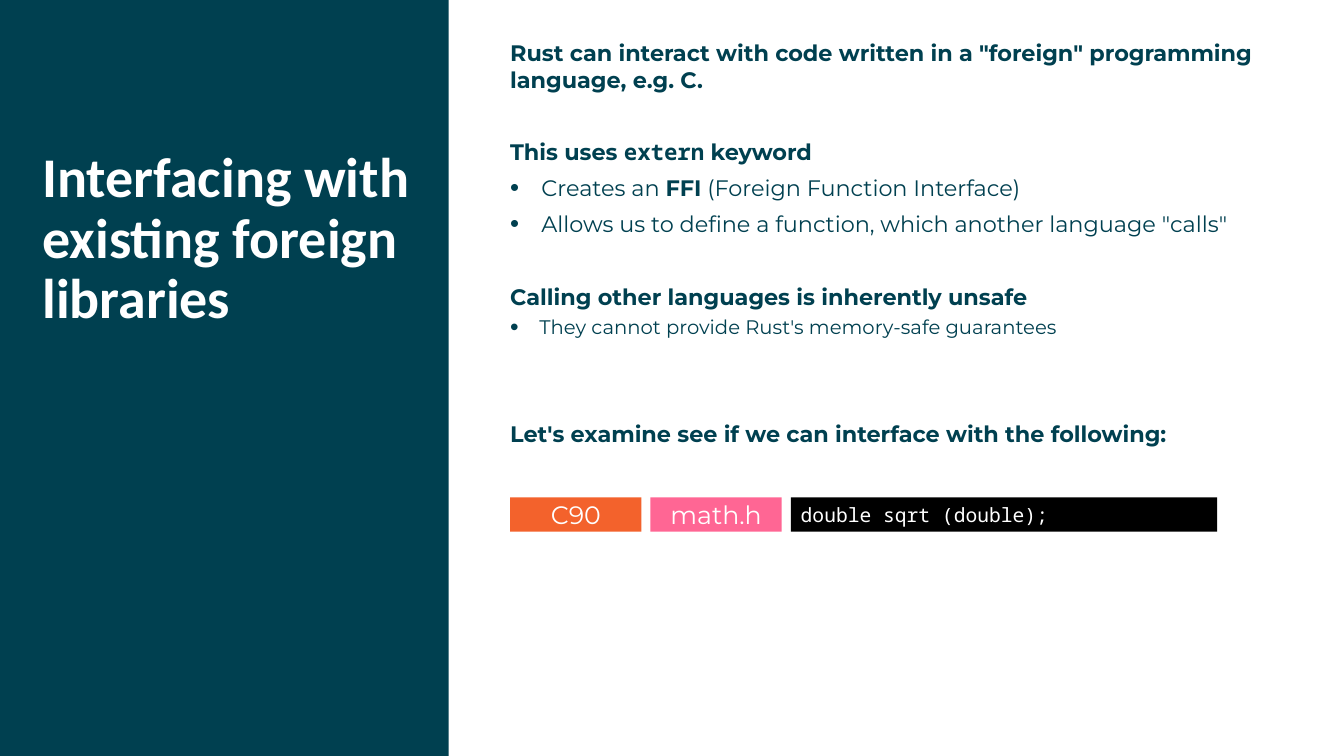
"""Build a slide on calling foreign libraries from Rust."""
from dataclasses import dataclass

from lxml.etree import SubElement
from pptx import Presentation
from pptx.dml.color import RGBColor
from pptx.enum.shapes import MSO_SHAPE
from pptx.enum.text import MSO_ANCHOR, MSO_AUTO_SIZE, PP_ALIGN
from pptx.oxml.ns import qn
from pptx.util import Inches, Pt

COLORS = {"teal": "004050", "white": "FFFFFF", "black": "000000",
          "orange": "F3622C", "pink": "FF6694"}
TITLE_FONT, BODY_FONT, CODE_FONT = "Calibri", "Montserrat", "Noto Sans Mono"
WIDTH, HEIGHT = Inches(13.33), Inches(7.5)
COLUMN, ROW = WIDTH / 100, HEIGHT / 100
BODY_LEFT, TAG_TOP, TAG_HEIGHT, TAG_GAP = 37.96, 65.8, 4.53, 0.67
BLANK_LINE = 26


@dataclass
class Phrase:
    text: str
    bold: bool = True
    font: str = BODY_FONT


@dataclass
class Point:
    phrases: list[Phrase]
    before: float = 0
    size: int = 16
    level: int = 0
    indent: float = 0
    bullet_percent: int = 0
    line_points: int = 0


@dataclass
class Tag:
    text: str
    columns: float
    color: str
    font: str = BODY_FONT
    size: int = 18
    align: PP_ALIGN = PP_ALIGN.CENTER


POINTS = [
    Point([Phrase('Rust can interact with code written in a "foreign" programming language, e.g. C.')]),
    Point([Phrase("This uses "), Phrase("extern", font=CODE_FONT), Phrase(" keyword")],
          before=BLANK_LINE),
    Point([Phrase("Creates an ", False), Phrase("FFI"),
           Phrase(" (Foreign Function Interface)", False)], indent=0.31, bullet_percent=115),
    Point([Phrase('Allows us to define a function, which another language "calls"', False)],
          indent=0.31, bullet_percent=115),
    Point([Phrase("Calling other languages is inherently unsafe")], before=BLANK_LINE),
    Point([Phrase("They cannot provide Rust's memory-safe guarantees", False)],
          size=14, level=1, indent=0.29, bullet_percent=125, line_points=14),
    Point([Phrase("Let's examine see if we can interface with the following:")],
          before=2 * BLANK_LINE),
]
TAGS = [
    Tag("C90", 9.77, "orange"),
    Tag("math.h", 9.77, "pink"),
    Tag("double sqrt (double);", 31.73, "black", CODE_FONT, 14, PP_ALIGN.LEFT),
]


def place(item, left: float, top: float, columns: float, rows: float) -> None:
    item.left, item.top = round(left * COLUMN), round(top * ROW)
    item.width, item.height = round(columns * COLUMN), round(rows * ROW)


def style(font, name: str, size: int, color: str, bold: bool = False) -> None:
    font.name, font.size, font.bold = name, Pt(size), bold
    font.color.rgb = RGBColor.from_string(COLORS[color])


def clear_frame(frame) -> None:
    frame.margin_left = frame.margin_right = frame.margin_top = frame.margin_bottom = 0
    frame.word_wrap = True
    frame.auto_size = MSO_AUTO_SIZE.NONE
    frame.vertical_anchor = MSO_ANCHOR.TOP


def add_block(slide, left: float, top: float, columns: float, rows: float, color: str):
    block = slide.shapes.add_shape(MSO_SHAPE.RECTANGLE, 0, 0, 0, 0)
    place(block, left, top, columns, rows)
    block.shadow.inherit = False
    block.fill.solid()
    block.fill.fore_color.rgb = RGBColor.from_string(COLORS[color])
    block.line.fill.background()
    return block


def set_bullet(paragraph, point: Point) -> None:
    properties = paragraph._p.get_or_add_pPr()
    properties.set("marL", str(Inches(point.indent)))
    properties.set("indent", str(-Inches(point.indent)))
    if point.bullet_percent:
        SubElement(properties, qn("a:buSzPct"), val=str(point.bullet_percent * 1000))
        SubElement(properties, qn("a:buFont"), typeface="Arial")
        SubElement(properties, qn("a:buChar"), char="•")
    else:
        SubElement(properties, qn("a:buNone"))


def write_point(paragraph, point: Point) -> None:
    paragraph.level = point.level
    set_bullet(paragraph, point)
    paragraph.alignment = PP_ALIGN.LEFT
    paragraph.space_before, paragraph.space_after = Pt(point.before), Pt(6.5)
    paragraph.line_spacing = Pt(point.line_points) if point.line_points else 1.0
    for phrase in point.phrases:
        run = paragraph.add_run()
        run.text = phrase.text
        style(run.font, phrase.font, point.size, "teal", phrase.bold)


def add_title(slide) -> None:
    title = slide.shapes.title
    place(title, 3.15, 19.73, 28.28, 40.13)
    clear_frame(title.text_frame)
    title.text_frame.text = "Interfacing with existing foreign libraries"
    heading = title.text_frame.paragraphs[0]
    heading.alignment, heading.line_spacing = PP_ALIGN.LEFT, 0.9
    style(heading.runs[0].font, TITLE_FONT, 40, "white", True)


def add_points(slide) -> None:
    body = slide.placeholders[1]
    place(body, BODY_LEFT, 5.2, 58.95, 88.13)
    frame = body.text_frame
    clear_frame(frame)
    for index, point in enumerate(POINTS):
        write_point(frame.add_paragraph() if index else frame.paragraphs[0], point)


def add_tags(slide) -> None:
    left = BODY_LEFT
    for tag in TAGS:
        block = add_block(slide, left, TAG_TOP, tag.columns, TAG_HEIGHT, tag.color)
        frame = block.text_frame
        frame.text = tag.text
        frame.word_wrap = True
        frame.vertical_anchor = MSO_ANCHOR.MIDDLE
        frame.paragraphs[0].alignment = tag.align
        style(frame.paragraphs[0].runs[0].font, tag.font, tag.size, "white")
        left += tag.columns + TAG_GAP


def main() -> None:
    deck = Presentation()
    deck.slide_width, deck.slide_height = WIDTH, HEIGHT
    slide = deck.slides.add_slide(deck.slide_layouts[1])
    panel = add_block(slide, 0, 0, 33.38, 100, "teal")
    panel._element.getparent().insert(2, panel._element)
    add_title(slide)
    add_points(slide)
    add_tags(slide)
    deck.save("out.pptx")


if __name__ == "__main__":
    main()
